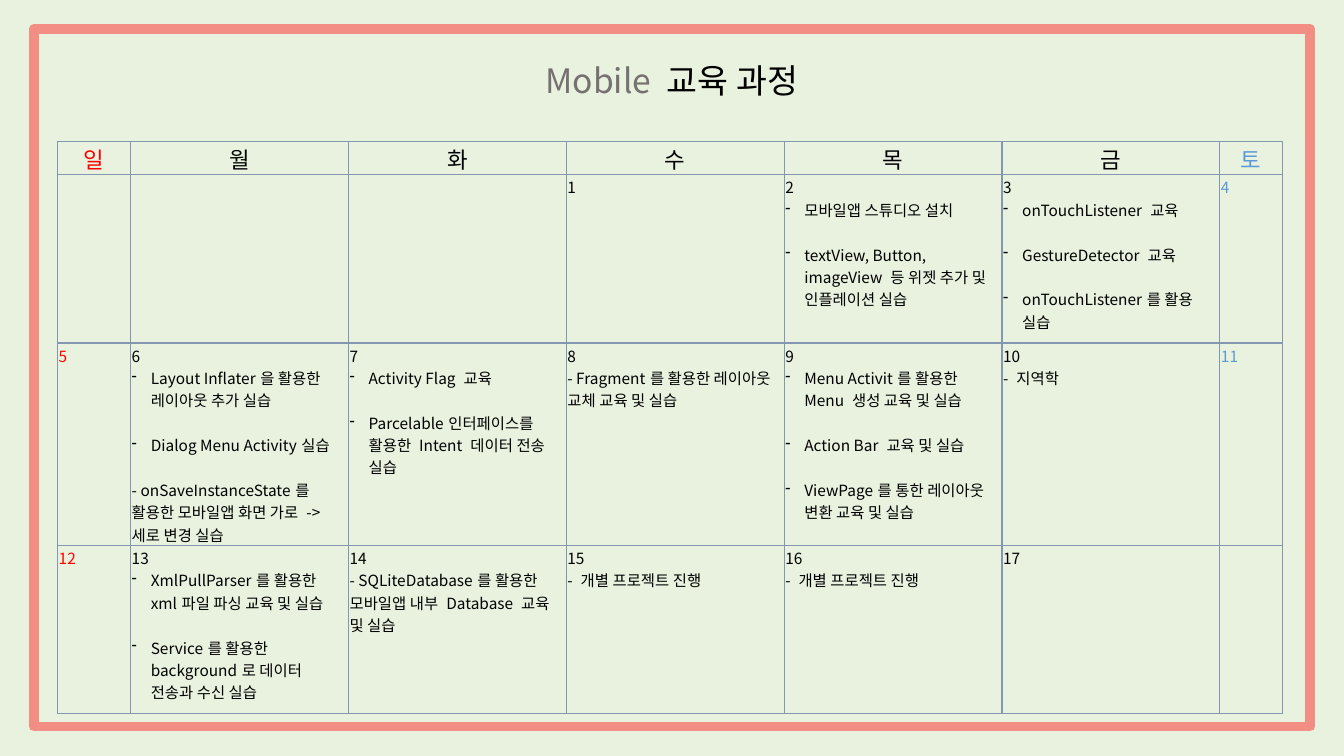
from lxml import etree
from pptx import Presentation
from pptx import util as u
from pptx.dml.color import RGBColor
from pptx.enum import shapes, text
from pptx.oxml.ns import qn

FONT = "Noto Sans CJK KR"
COLOURS = {
    "background": "E9F1DF", "frame": "F28E83", "grid": "8497B0", "title": "767171",
    "text": "000000", "sunday": "FF0000", "saturday": "5B9BD5",
}
WEEKDAYS = "일월화수목금토"
COLUMN_COLOURS = ["sunday"] + ["text"] * 5 + ["saturday"]
COLUMN_WIDTHS = [1.84] + [5.49] * 5 + [1.58]
ROW_HEIGHTS = [0.74] + [4.24] * 3
LAST_DAY = 17
CELL_FORMAT = {
    "margin_left": u.Cm(0.03), "margin_right": u.Cm(0.03),
    "margin_top": u.Cm(0.03), "margin_bottom": 0,
}
# Lessons that start with "- " are plain text; the others hang from a bullet.
LESSONS = {
    2: ["모바일앱 스튜디오 설치",
        "textView, Button, imageView 등 위젯 추가 및 인플레이션 실습"],
    3: ["onTouchListener 교육", "GestureDetector 교육", "onTouchListener를 활용 실습"],
    6: ["Layout Inflater을 활용한 레이아웃 추가 실습",
        "Dialog Menu Activity실습",
        "- onSaveInstanceState를 활용한 모바일앱 화면 가로 -> 세로 변경 실습"],
    7: ["Activity Flag 교육", "Parcelable인터페이스를 활용한 Intent 데이터 전송 실습"],
    8: ["- Fragment를 활용한 레이아웃 교체 교육 및 실습"],
    9: ["Menu Activit를 활용한 Menu 생성 교육 및 실습",
        "Action Bar 교육 및 실습",
        "ViewPage를 통한 레이아웃 변환 교육 및 실습"],
    10: ["- 지역학"],
    13: ["XmlPullParser를 활용한 xml파일 파싱 교육 및 실습",
         "Service를 활용한 background로 데이터 전송과 수신 실습"],
    14: ["- SQLiteDatabase를 활용한 모바일앱 내부 Database 교육 및 실습"],
    15: ["- 개별 프로젝트 진행"],
    16: ["- 개별 프로젝트 진행"],
}


def rgb(name):
    return RGBColor.from_string(COLOURS[name])


def apply_format(target, values):
    for attribute, value in values.items():
        setattr(target, attribute, value)


def add_words(paragraph, words, size, colour):
    run = paragraph.add_run()
    run.text = words
    apply_format(run.font, {"size": u.Pt(size), "bold": False, "name": FONT})
    run.font.color.rgb = rgb(colour)
    etree.SubElement(run.font._element, qn("a:ea"), typeface=FONT)


def hang_from_dash(paragraph):
    properties = paragraph._p.get_or_add_pPr()
    indent = u.Cm(0.48)
    properties.set("marL", str(indent))
    properties.set("indent", str(-indent))
    etree.SubElement(properties, qn("a:buChar"), char="-")


def outline_cell(cell):
    properties = cell._tc.get_or_add_tcPr()
    for side in ("lnL", "lnR", "lnT", "lnB"):
        border = etree.SubElement(properties, qn(f"a:{side}"), w=str(u.Pt(1)))
        fill = etree.SubElement(border, qn("a:solidFill"))
        etree.SubElement(fill, qn("a:srgbClr"), val=COLOURS["grid"])
    cell.fill.background()


def add_frame(slide, left, top, width, height):
    frame = slide.shapes.add_shape(
        shapes.MSO_SHAPE.RECTANGLE, *map(u.Cm, (left, top, width, height)))
    frame.shadow.inherit = False
    frame.fill.background()
    frame.line.color.rgb = rgb("frame")
    frame.line.width = u.Pt(7)


def add_title(slide, left, top, width, height):
    title = slide.shapes.title
    apply_format(title, {"left": u.Cm(left), "top": u.Cm(top),
                         "width": u.Cm(width), "height": u.Cm(height)})
    apply_format(title.text_frame, {"vertical_anchor": text.MSO_ANCHOR.BOTTOM,
                                    "auto_size": text.MSO_AUTO_SIZE.NONE,
                                    "word_wrap": True})
    heading = title.text_frame.paragraphs[0]
    apply_format(heading, {"alignment": text.PP_ALIGN.CENTER, "line_spacing": 0.9})
    add_words(heading, "Mobile ", 24, "title")
    add_words(heading, "교육 과정", 24, "text")


def fill_weekday(cell, weekday, colour):
    cell.vertical_anchor = text.MSO_ANCHOR.MIDDLE
    heading = cell.text_frame.paragraphs[0]
    heading.alignment = text.PP_ALIGN.CENTER
    add_words(heading, weekday, 16, colour)


def fill_day(cell, day, colour):
    add_words(cell.text_frame.paragraphs[0], str(day), 11, colour)
    for position, lesson in enumerate(LESSONS.get(day, [])):
        paragraph = cell.text_frame.add_paragraph()
        if not lesson.startswith("- "):
            hang_from_dash(paragraph)
        if position:
            paragraph.space_before = u.Pt(16)
        add_words(paragraph, lesson, 11, colour)


def add_calendar(slide, left, top):
    calendar = slide.shapes.add_table(
        len(ROW_HEIGHTS), len(COLUMN_WIDTHS), u.Cm(left), u.Cm(top),
        u.Cm(sum(COLUMN_WIDTHS)), u.Cm(sum(ROW_HEIGHTS))).table
    apply_format(calendar, {"first_row": False, "horz_banding": False})
    for column, width in zip(calendar.columns, COLUMN_WIDTHS):
        column.width = u.Cm(width)
    for week, height in enumerate(ROW_HEIGHTS):
        calendar.rows[week].height = u.Cm(height)
        for weekday, colour in enumerate(COLUMN_COLOURS):
            cell = calendar.cell(week, weekday)
            apply_format(cell, CELL_FORMAT)
            outline_cell(cell)
            day = 7 * (week - 1) + weekday - 2  # the 1st is a Wednesday
            if week == 0:
                fill_weekday(cell, WEEKDAYS[weekday], colour)
            elif 1 <= day <= LAST_DAY:
                fill_day(cell, day, colour)


def main():
    deck = Presentation()
    apply_format(deck, {"slide_width": u.Cm(33.87), "slide_height": u.Cm(19.05)})
    slide = deck.slides.add_slide(deck.slide_layouts[5])
    slide.background.fill.solid()
    slide.background.fill.fore_color.rgb = rgb("background")
    add_frame(slide, 0.85, 0.73, 32.17, 17.58)
    add_title(slide, 11.68, 1.4, 10.5, 1.27)
    add_calendar(slide, 1.45, 3.56)
    deck.save("out.pptx")


if __name__ == "__main__":
    main()
